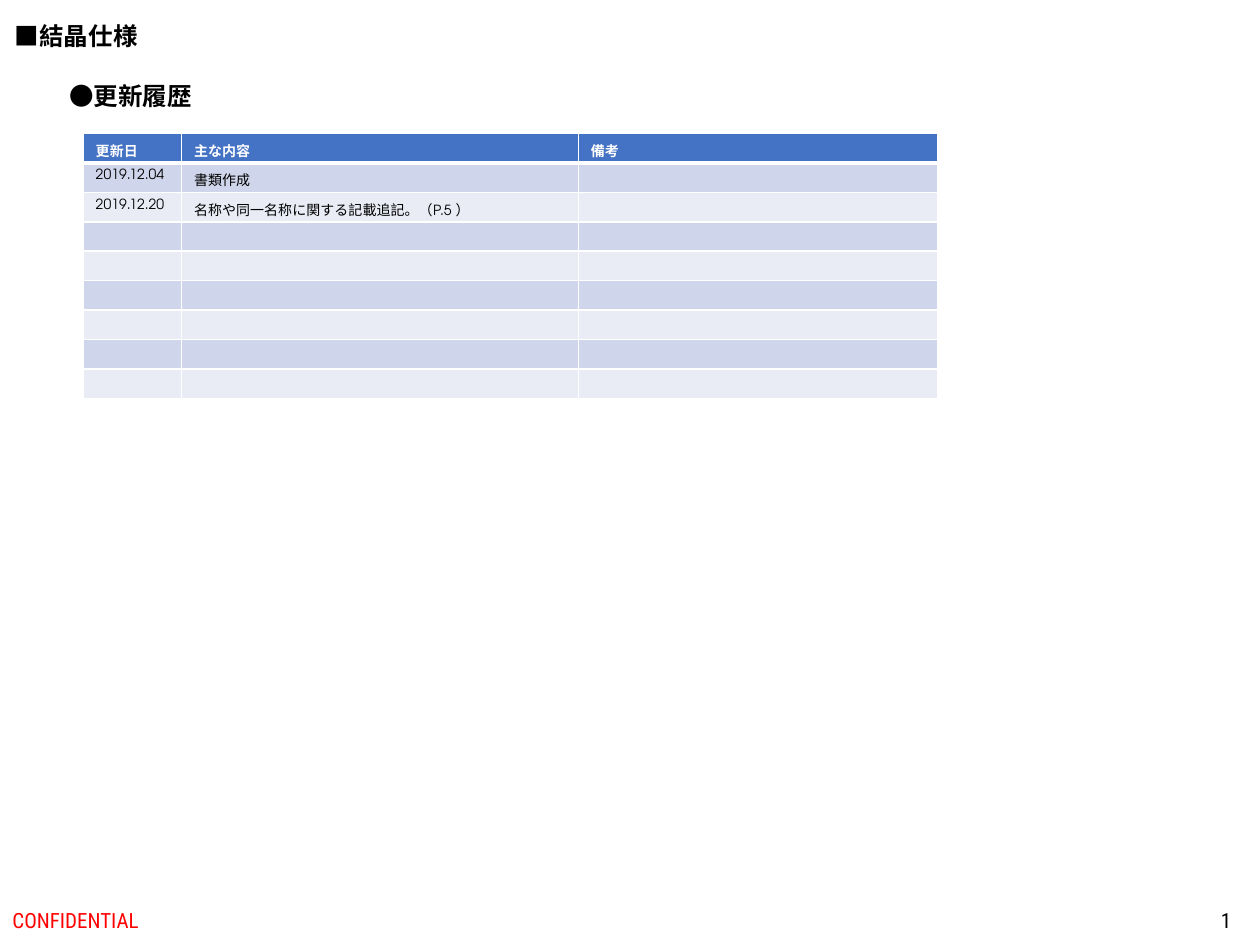
from lxml import etree
from pptx import Presentation
from pptx import util as u
from pptx.dml.color import RGBColor
from pptx.enum import text
from pptx.oxml.ns import qn

# Content
HEADER = ["更新日", "主な内容", "備考"]
HISTORY = [
    ["2019.12.04", "書類作成", ""],
    ["2019.12.20", "名称や同一名称に関する記載追記。（P.5 ）", ""],
]
ROWS = 9
COLS = [0.78, 3.15, 2.85]
TABLE_AT = (0.66, 1.06)
TABLE_H = 2.1

THEME = dict(
    black="000000", white="FFFFFF", red="FF0000",
    head="4472C4", bands=("CFD5EA", "E9EBF5"),
    title=14, footer=12, cell=8,
    sans="Arial", narrow="Roboto Condensed", body="TeX Gyre Adventor",
)
W, H = 10, 7.5
FOOT_H = 0.4
FOOT_Y = H - FOOT_H

# text, box, font, size, colour, bold, right-aligned
LABELS = [
    ("■結晶仕様", (0.02, 0.12, 1.18, 0.34), "sans", "title", "black", True, False),
    ("CONFIDENTIAL", (0, FOOT_Y, 3.38, FOOT_H), "narrow", "footer", "red", False, False),
    ("1", (7.62, FOOT_Y, 2.25, FOOT_H), "narrow", "footer", "black", False, True),
    ("●更新履歴", (0.45, 0.59, 1.18, 0.34), "body", "title", "black", True, False),
]


def style(r, font, size, color, bold):
    r.font.name = THEME[font]
    r.font.size = u.Pt(THEME[size])
    r.font.color.rgb = RGBColor.from_string(THEME[color])
    r.font.bold = bold


def add_label(s, words, box, font, size, color, bold, right):
    tf = s.shapes.add_textbox(*map(u.Inches, box)).text_frame
    tf.text = words
    p = tf.paragraphs[0]
    style(p.runs[0], font, size, color, bold)
    if size == "title":
        tf.word_wrap = False
        tf.auto_size = text.MSO_AUTO_SIZE.SHAPE_TO_FIT_TEXT
    else:
        tf.word_wrap = True
        tf.vertical_anchor = text.MSO_ANCHOR.MIDDLE
    if right:
        p.alignment = text.PP_ALIGN.RIGHT


def set_borders(cell, widths):
    tcPr = cell._tc.get_or_add_tcPr()
    for side, width in widths.items():
        ln = etree.SubElement(tcPr, qn("a:ln" + side), w=str(u.Pt(width)))
        fill = etree.SubElement(ln, qn("a:solidFill"))
        etree.SubElement(fill, qn("a:srgbClr"), val=THEME["white"])


def fill_cell(cell, words, row):
    is_head = row == 0
    set_borders(cell, dict(L=1, R=1, T=3 if row == 1 else 1, B=3 if is_head else 1))
    cell.fill.solid()
    color = THEME["head"] if is_head else THEME["bands"][(row - 1) % 2]
    cell.fill.fore_color.rgb = RGBColor.from_string(color)
    p = cell.text_frame.paragraphs[0]
    if words:
        p.text = words
        style(p.runs[0], "body", "cell", "white" if is_head else "black", is_head)
    else:
        # Small end mark keeps empty rows at their set height
        etree.SubElement(p._p, qn("a:endParaRPr"), sz=str(THEME["cell"] * 100))


prs = Presentation()
prs.slide_width, prs.slide_height = u.Inches(W), u.Inches(H)
s = prs.slides.add_slide(prs.slide_layouts[6])

# Headings and footer
for label in LABELS:
    add_label(s, *label)

# Update history table
size = (sum(COLS), TABLE_H)
table = s.shapes.add_table(ROWS, len(COLS), *map(u.Inches, TABLE_AT + size)).table
for col, width in zip(table.columns, COLS):
    col.width = u.Inches(width)
blank = [[""] * len(COLS)] * (ROWS - 1 - len(HISTORY))
for i, row in enumerate([HEADER] + HISTORY + blank):
    for j, words in enumerate(row):
        fill_cell(table.cell(i, j), words, i)

prs.save("out.pptx")
